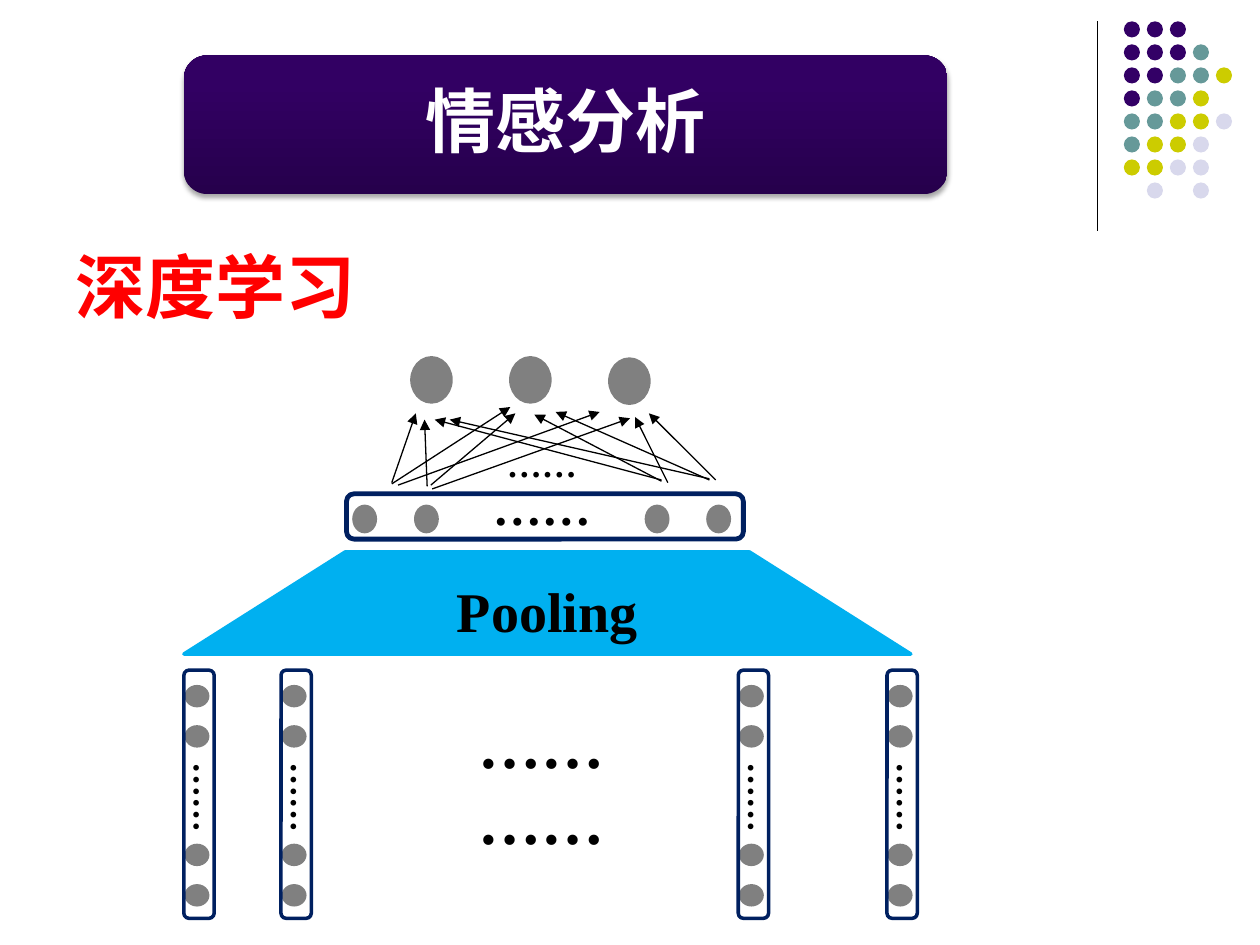
from lxml import etree
from pptx import Presentation
from pptx.dml.color import RGBColor
from pptx.enum.shapes import MSO_CONNECTOR, MSO_SHAPE
from pptx.enum.text import MSO_ANCHOR, PP_ALIGN
from pptx.oxml.ns import qn
from pptx.util import Pt

OVAL, ROUND, TRAPEZOID = MSO_SHAPE.OVAL, MSO_SHAPE.ROUNDED_RECTANGLE, MSO_SHAPE.TRAPEZOID
STRAIGHT = MSO_CONNECTOR.STRAIGHT
TOP, MIDDLE = MSO_ANCHOR.TOP, MSO_ANCHOR.MIDDLE
LEFT, CENTER = PP_ALIGN.LEFT, PP_ALIGN.CENTER

COLORS = {
    "purple": "330066", "teal": "669999", "olive": "CCCC00", "lilac": "D8D8EC",
    "banner_dark": "26004C", "banner_light": "320063", "red": "FF0000",
    "white": "FFFFFF", "black": "000000", "gray": "808080",
    "navy": "002060", "sky": "00B0F0",
}
DOT_COLORS = {"P": "purple", "T": "teal", "Y": "olive", "L": "lilac"}
DOT_ROWS = ["PPP", "PPPT", "PPTTY", "PTTY", "TTYYL", "TYYL", "YYLL", "-L-L"]
DOTS = "……"

COLUMN_LEFTS = [105.1, 160.6, 421.9, 506.9]
COLUMN_NODE_TOPS = [392.4, 415.4, 483.1, 506.2]
POOLED_NODE_LEFTS = [202.3, 237.6, 369.4, 404.6]
OUTPUT_NODES = [(235.4, 204.5), (291.9, 204.5), (348.5, 205.2)]
ARROWS = [
    (223.9, 275.8, 237.6, 236.2), (244.1, 277.9, 242.6, 239.8),
    (223.9, 276.5, 291.6, 232.6), (227.5, 277.2, 342.7, 235.4),
    (246.2, 277.2, 294.5, 236.2), (247, 279.4, 360, 239),
    (405.4, 273.6, 257, 239.8), (405.4, 274.3, 317.5, 235.4),
    (409, 274.3, 370.8, 236.2), (378, 274.3, 248.4, 239.8),
    (378, 275, 305.3, 236.9), (381.6, 275.8, 362.9, 238.3),
]


def rgb(name):
    return RGBColor.from_string(COLORS[name])


class Deck:
    font = "Times New Roman"

    def __init__(self, width, height):
        self.prs = Presentation()
        self.prs.slide_width, self.prs.slide_height = Pt(width), Pt(height)
        self.s = self.prs.slides.add_slide(self.prs.slide_layouts[5])

    def fill_text(self, sp, lines, size, color="black", align=CENTER, anchor=MIDDLE, inset=0):
        tf = sp.text_frame
        tf.word_wrap = True
        tf.vertical_anchor = anchor
        tf.margin_left = tf.margin_right = Pt(inset)
        tf.margin_top = tf.margin_bottom = Pt(inset / 2)
        for i, line in enumerate(lines):
            p = tf.add_paragraph() if i else tf.paragraphs[0]
            p.alignment = align
            r = p.add_run()
            r.text = line
            r.font.name, r.font.size, r.font.bold = self.font, Pt(size), True
            r.font.color.rgb = rgb(color)
        return tf

    def text(self, box, lines, size, rotation=0, **style):
        sp = self.s.shapes.add_textbox(*map(Pt, box))
        sp.rotation = rotation
        self.fill_text(sp, lines, size, **style)

    def shape(self, kind, box, fill=None, line=None, weight=2):
        sp = self.s.shapes.add_shape(kind, *map(Pt, box))
        sp.shadow.inherit = False
        if fill:
            sp.fill.solid()
            sp.fill.fore_color.rgb = rgb(fill)
        else:
            sp.fill.background()
        if line:
            sp.line.color.rgb = rgb(line)
            sp.line.width = Pt(weight)
        else:
            sp.line.fill.background()
        return sp

    def node(self, *box):
        self.shape(OVAL, box, "gray", "gray")

    def line(self, ends, arrow=False):
        c = self.s.shapes.add_connector(STRAIGHT, *map(Pt, ends))
        c.line.color.rgb = rgb("black")
        c.line.width = Pt(0.75)
        props = c._element.spPr
        if arrow:
            etree.SubElement(props.find(qn("a:ln")), qn("a:tailEnd"), type="triangle")
        etree.SubElement(props, qn("a:effectLst"))

    def banner(self, box, title):
        sp = self.shape(ROUND, box)
        sp.fill.gradient()
        sp.fill.gradient_angle = 90
        dark, light = sp.fill.gradient_stops
        dark.color.rgb, dark.position = rgb("banner_dark"), 0
        light.color.rgb, light.position = rgb("banner_light"), 0.8
        effects = sp._element.spPr.find(qn("a:effectLst"))
        shadow = etree.SubElement(effects, qn("a:outerShdw"), blurRad=str(Pt(3.1)),
                                  dist=str(Pt(1.8)), dir="5400000", rotWithShape="0")
        color = etree.SubElement(shadow, qn("a:srgbClr"), val=COLORS["black"])
        etree.SubElement(color, qn("a:alpha"), val="35000")

        heading = self.s.shapes.title
        left, top, width, height = box
        heading.left, heading.top = Pt(left + 4.5), Pt(top + 4)
        heading.width, heading.height = Pt(width - 9), Pt(height - 8)
        tf = self.fill_text(heading, [title], 40, "white", inset=12.2)
        tf.margin_top = tf.margin_bottom = Pt(12.2)
        tf.paragraphs[0].line_spacing = 0.9
        sp._element.addnext(heading._element)

    def column(self, left):
        for top in COLUMN_NODE_TOPS:
            self.node(left + 1.4, top, 12.2, 10.8)
        self.text((left - 23, 448.6, 73.4, 14.4), [DOTS], 20, rotation=90)
        self.shape(ROUND, (left, 383, 17.3, 141.8), line="navy")


def main():
    deck = Deck(720, 540)

    deck.line((627.1, 12.2, 627.1, 131.8))
    for row, codes in enumerate(DOT_ROWS):
        for col, code in enumerate(codes):
            if code in DOT_COLORS:
                box = (642.2 + 13.15 * col, 12.2 + 13.15 * row, 9.2, 9.2)
                deck.shape(OVAL, box, DOT_COLORS[code])

    deck.text((36, 135.4, 648, 347), ["深度学习"], 40, color="red",
              align=LEFT, anchor=TOP, inset=7.2)
    deck.banner((105.1, 31.7, 436.3, 79.2), "情感分析")

    for left in POOLED_NODE_LEFTS:
        deck.node(left, 289.4, 12.2, 14.4)
    deck.text((272.9, 282.2, 73.4, 14.4), [DOTS], 28)
    deck.shape(ROUND, (198, 282.2, 226.8, 25.9), line="navy", weight=2.75)

    for left in COLUMN_LEFTS:
        deck.column(left)
    deck.text((249.8, 400.3, 118.8, 92.2), [DOTS, DOTS], 36)

    pooling = deck.shape(TRAPEZOID, (105.1, 315.4, 415.4, 58.3), "sky", "sky")
    pooling.adjustments[0] = 1.58
    deck.fill_text(pooling, ["Pooling"], 32)

    for left, top in OUTPUT_NODES:
        deck.node(left, top, 22.3, 25.2)
    for ends in ARROWS:
        deck.line(ends, arrow=True)
    deck.text((281.5, 258.5, 56.2, 12.2), [DOTS], 20)

    deck.prs.save("out.pptx")


if __name__ == "__main__":
    main()
